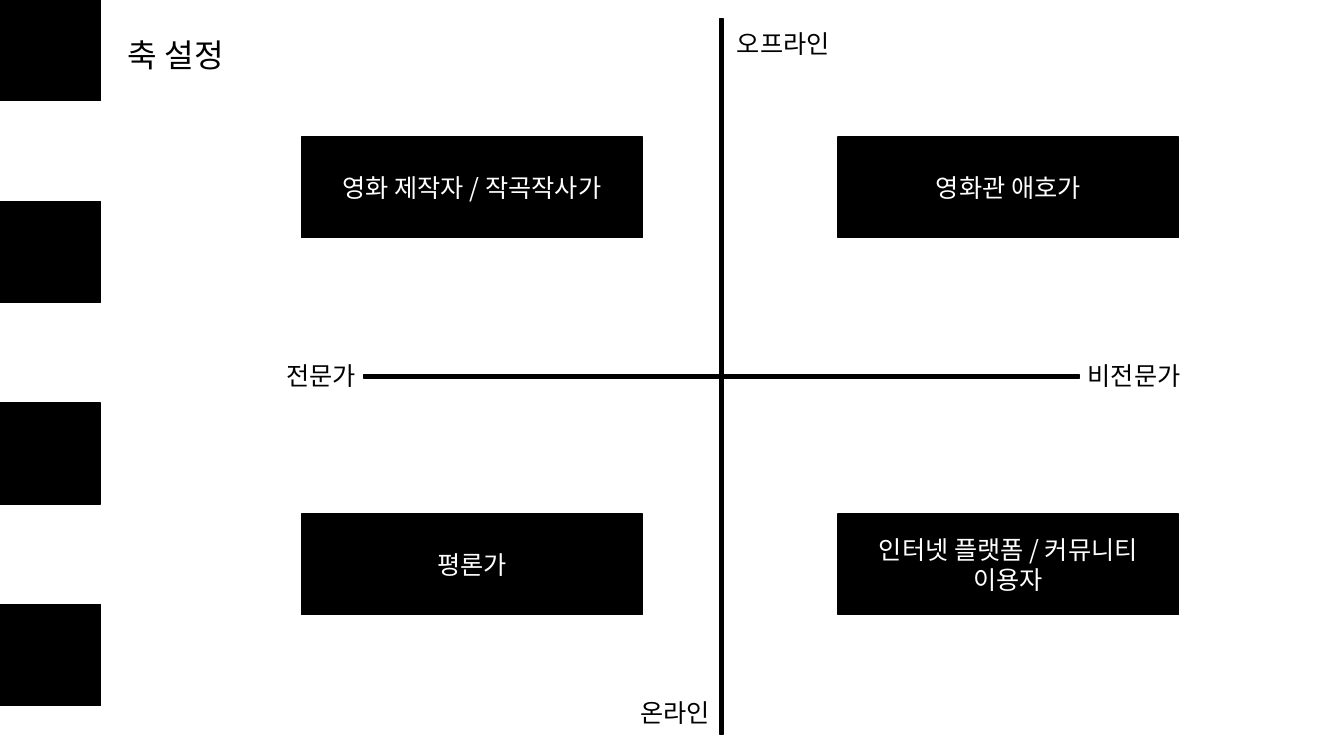
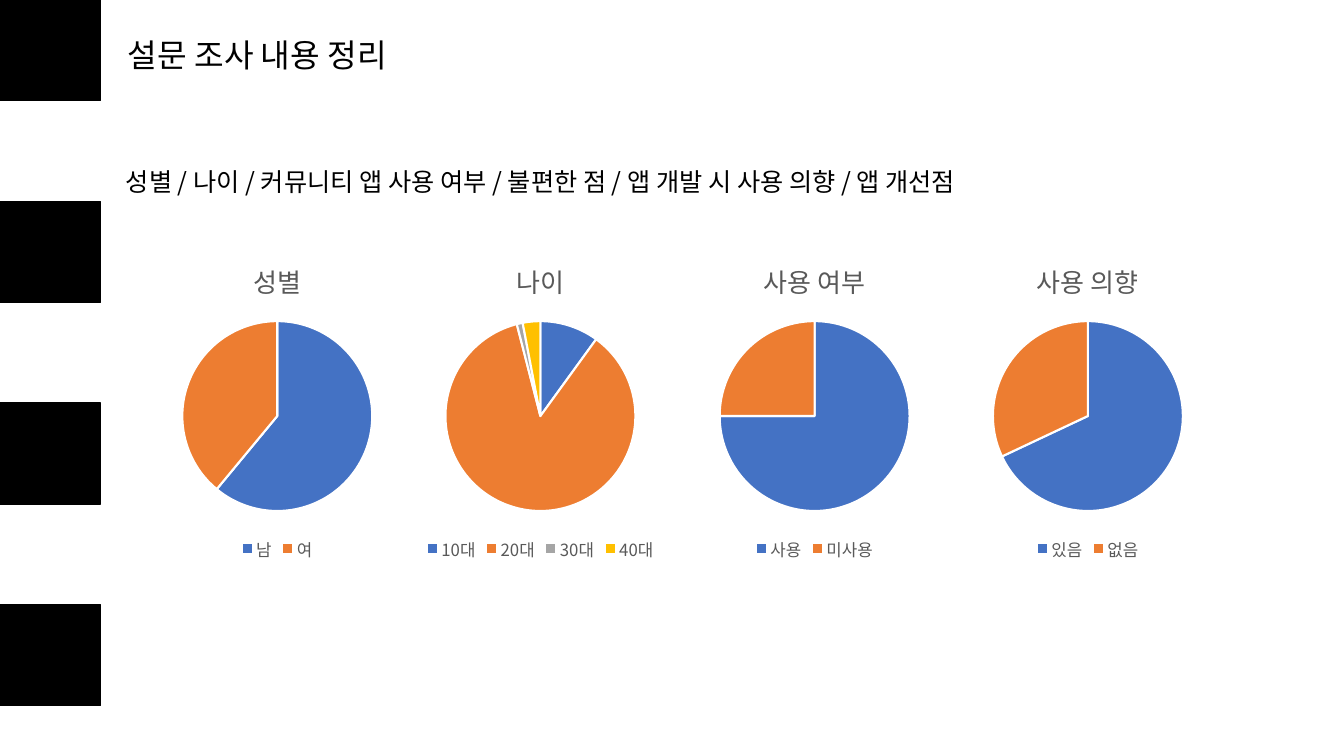
import dataclasses
import itertools

import pptx
import pptx.chart.data
import pptx.dml.color
import pptx.enum.chart
import pptx.enum.shapes
import pptx.enum.text
import pptx.oxml
import pptx.oxml.ns
import pptx.util

SCALE = 9144  # EMU in one px, 100 px to the inch
WIDE, HIGH = 1333, 750

Align = pptx.enum.text.PP_ALIGN
Shape = pptx.enum.shapes.MSO_SHAPE


@dataclasses.dataclass(frozen=True)
class Theme:
    face: str = "Noto Sans CJK KR"
    ink: str = "000000"
    paper: str = "FFFFFF"
    grey: str = "595959"
    slices: tuple = ("4472C4", "ED7D31", "A5A5A5", "FFC000")
    title: float = 23
    body: float = 18
    head: float = 18.6
    key: float = 12
    small: float = 10
    edge: float = 1
    gap: float = 1.5


def px(*sizes):
    return [pptx.util.Emu(size * SCALE) for size in sizes]


def color(code):
    return pptx.dml.color.RGBColor.from_string(code)


class Deck:
    """Holds the theme, the file and the slide being filled."""

    def __init__(self, theme):
        self.theme = theme
        self.file = pptx.Presentation()
        self.file.slide_width, self.file.slide_height = px(WIDE, HIGH)
        self.slide = None

    def style(self, font, size, code):
        font.name = self.theme.face
        font.size = pptx.util.Pt(size)
        font.color.rgb = color(code)

    def east(self, element):
        """Give Korean letters the same face as Latin ones."""
        for latin in list(element.iter(pptx.oxml.ns.qn("a:latin"))):
            latin.addnext(pptx.oxml.parse_xml(
                f'<a:ea {pptx.oxml.ns.nsdecls("a")} typeface="{self.theme.face}"/>'))

    def letter(self, shape, lines, size, code, align=Align.LEFT):
        frame = shape.text_frame
        frame.word_wrap = True
        for index, line in enumerate(lines):
            para = frame.add_paragraph() if index else frame.paragraphs[0]
            para.alignment = align
            run = para.add_run()
            run.text = line
            self.style(run.font, size, code)
        self.east(shape.element)

    def page(self, title):
        """Start a slide with its side blocks and title."""
        self.slide = self.file.slides.add_slide(self.file.slide_layouts[6])
        for top in range(0, HIGH, 200):
            self.solid(Shape.RECTANGLE, 0, top, 100, 100)
        self.label(title, 117, 30, 285, 49, self.theme.title)

    def solid(self, kind, left, top, width, height):
        shape = self.slide.shapes.add_shape(kind, *px(left, top, width, height))
        shape.shadow.inherit = False
        shape.fill.solid()
        shape.fill.fore_color.rgb = color(self.theme.ink)
        shape.line.color.rgb = color(self.theme.ink)
        shape.line.width = pptx.util.Pt(self.theme.edge)
        return shape

    def label(self, text, left, top, width, height=40, size=None):
        box = self.slide.shapes.add_textbox(*px(left, top, width, height))
        self.letter(box, [text], size or self.theme.body, self.theme.ink)
        box.text_frame.auto_size = pptx.enum.text.MSO_AUTO_SIZE.SHAPE_TO_FIT_TEXT

    def panel(self, lines, left, top, width, height):
        shape = self.solid(Shape.RECTANGLE, left, top, width, height)
        shape.text_frame.vertical_anchor = pptx.enum.text.MSO_ANCHOR.MIDDLE
        self.letter(shape, lines, self.theme.body, self.theme.paper, Align.CENTER)

    def cross(self, left, top, side, half):
        """Draw both axes as one plus whose arms are 2 * half thick."""
        shape = self.solid(Shape.CROSS, left, top, side, side)
        shape.adjustments[0] = 0.5 - half / side

    def pie(self, title, parts, left, top, width, height):
        theme = self.theme
        data = pptx.chart.data.CategoryChartData()
        data.categories = list(parts)
        data.add_series(title, list(parts.values()))
        chart = self.slide.shapes.add_chart(
            pptx.enum.chart.XL_CHART_TYPE.PIE,
            *px(left, top, width, height), data).chart
        self.style(chart.font, theme.small, theme.ink)

        chart.has_title = True
        run = chart.chart_title.text_frame.paragraphs[0].add_run()
        run.text = title
        self.style(run.font, theme.head, theme.grey)
        run.font.bold = False
        chart.chart_title.include_in_layout = False

        chart.has_legend = True
        chart.legend.position = pptx.enum.chart.XL_LEGEND_POSITION.BOTTOM
        chart.legend.include_in_layout = False
        self.style(chart.legend.font, theme.key, theme.grey)

        plot = chart.plots[0]
        plot.vary_by_categories = True
        for index in range(len(parts)):
            form = plot.series[0].points[index].format
            form.fill.solid()
            form.fill.fore_color.rgb = color(theme.slices[index])
            form.line.color.rgb = color(theme.paper)
            form.line.width = pptx.util.Pt(theme.gap)

        # Frames overlap, so each chart needs a clear background.
        chart.element.find(pptx.oxml.ns.qn("c:chart")).addnext(pptx.oxml.parse_xml(
            f'<c:spPr {pptx.oxml.ns.nsdecls("c", "a")}>'
            '<a:noFill/><a:ln><a:noFill/></a:ln></c:spPr>'))
        self.east(chart.element)


def axes(deck):
    deck.page("축 설정")
    deck.cross(361, 19, 709, 2)
    for text, left, top in (
        ("오프라인", 721, 23),
        ("온라인", 625, 687),
        ("비전문가", 1069, 353),
        ("전문가", 274, 353),
    ):
        deck.label(text, left, top, 121)
    groups = (
        ["영화 제작자 / 작곡작사가"],
        ["영화관 애호가"],
        ["평론가"],
        ["인터넷 플랫폼 / 커뮤니티", "이용자"],
    )
    for lines, (top, left) in zip(groups, itertools.product((136, 510), (299, 831))):
        deck.panel(lines, left, top, 338, 100)


def survey(deck):
    deck.page("설문 조사 내용 정리")
    deck.label("성별 / 나이 / 커뮤니티 앱 사용 여부 / 불편한 점 / 앱 개발 시 사용 의향 / 앱 개선점",
               115, 160, 972)
    for title, parts, left, width in (
        ("성별", {"남": 61, "여": 39}, 89, 372),
        ("나이", {"10대": 10, "20대": 86, "30대": 1, "40대": 3}, 370, 332),
        ("사용 여부", {"사용": 75, "미사용": 25}, 613, 390),
        ("사용 의향", {"있음": 68, "없음": 32}, 884, 390),
    ):
        deck.pie(title, parts, left, 240, width, 321)


def main():
    deck = Deck(Theme())
    axes(deck)
    survey(deck)
    deck.file.save("out.pptx")


if __name__ == "__main__":
    main()
